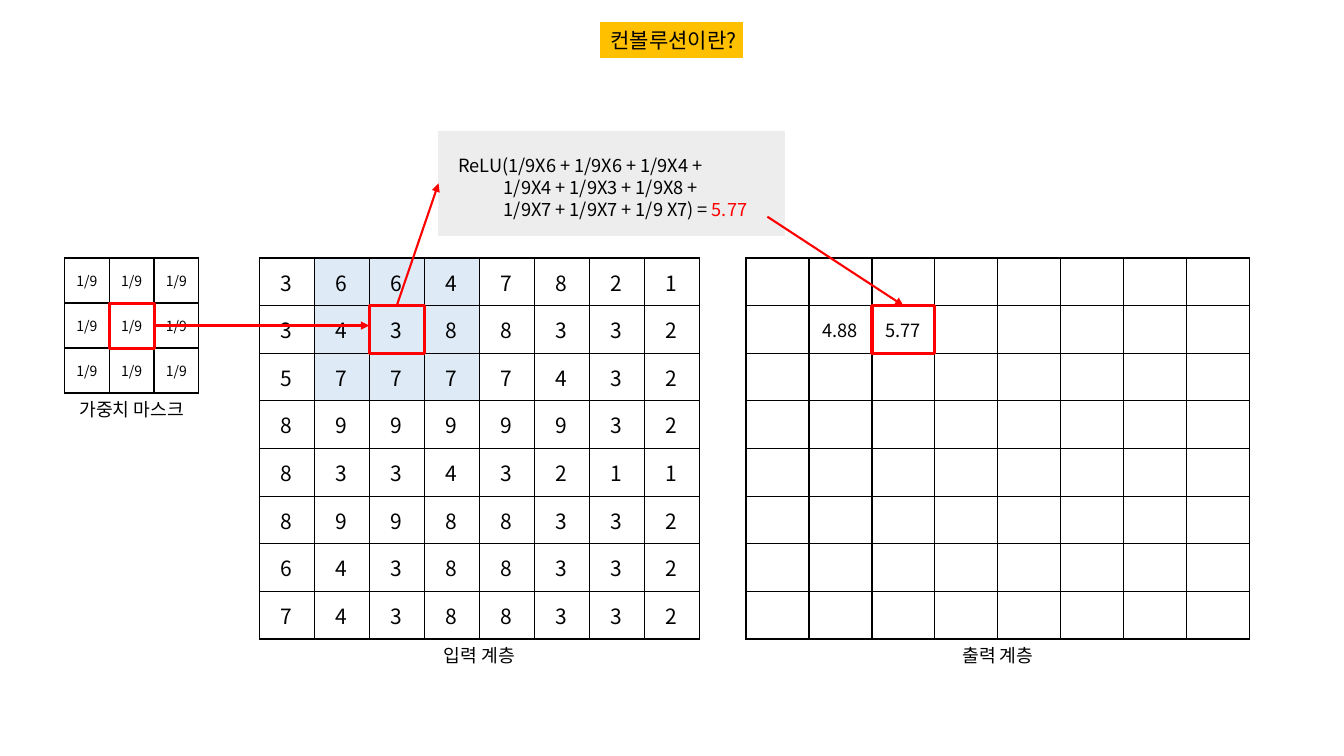
from collections import namedtuple

from lxml import etree
from pptx import Presentation
from pptx.dml.color import RGBColor
from pptx.enum.shapes import MSO_CONNECTOR, MSO_SHAPE
from pptx.enum.text import MSO_ANCHOR, PP_ALIGN
from pptx.oxml.ns import qn
from pptx.util import Inches, Pt

RECTANGLE = MSO_SHAPE.RECTANGLE
STRAIGHT = MSO_CONNECTOR.STRAIGHT
MIDDLE = MSO_ANCHOR.MIDDLE
LEFT, CENTER = PP_ALIGN.LEFT, PP_ALIGN.CENTER
BLACK, RED, AMBER, GRAY, BLUE = "000000", "FF0000", "FFC000", "EDEDED", "DEEBF7"

Box = namedtuple("Box", "left top width height")


def color(value):
    return RGBColor.from_string(value)


def cell_box(grid, size, row, column):
    width, height = grid.width / size, grid.height / size
    return Box(grid.left + column * width, grid.top + row * height, width, height)


def top_middle(box):
    return box.left + box.width / 2, box.top


class ConvolutionSlide:
    """Draws styled elements on a slide, with lengths in percent of its size."""

    font_name = "Noto Sans CJK KR"

    def __init__(self, presentation):
        self.slide = presentation.slides.add_slide(presentation.slide_layouts[6])
        self.shapes = self.slide.shapes
        self.column = presentation.slide_width / 100
        self.row = presentation.slide_height / 100

    def place(self, left, top):
        return round(left * self.column), round(top * self.row)

    def frame(self, box):
        return self.place(box.left, box.top) + self.place(box.width, box.height)

    def run(self, paragraph, text, size, ink=BLACK):
        run = paragraph.add_run()
        run.text = text
        run.font.size = Pt(size)
        run.font.name = self.font_name
        run.font.color.rgb = color(ink)
        east_asian = etree.SubElement(run.font._element, qn("a:ea"))
        east_asian.set("typeface", self.font_name)

    def border(self, cell):
        properties = cell._tc.get_or_add_tcPr()
        for side in ("a:lnL", "a:lnR", "a:lnT", "a:lnB"):
            line = etree.SubElement(properties, qn(side), w=str(Pt(1)))
            fill = etree.SubElement(line, qn("a:solidFill"))
            etree.SubElement(fill, qn("a:srgbClr"), val=BLACK)

    def table(self, box, size, values, font_size, margins, shaded=()):
        table = self.shapes.add_table(size, size, *self.frame(box)).table
        table.first_row = table.horz_banding = False
        width, height = self.place(box.width / size, box.height / size)
        for index in range(size):
            table.columns[index].width = width
            table.rows[index].height = height
        for row in range(size):
            for column in range(size):
                cell = table.cell(row, column)
                self.border(cell)
                if (row, column) in shaded:
                    cell.fill.solid()
                    cell.fill.fore_color.rgb = color(BLUE)
                else:
                    cell.fill.background()
                if (row, column) in values:
                    cell.vertical_anchor = MIDDLE
                    cell.margin_left = cell.margin_right = Inches(margins[0])
                    cell.margin_top = cell.margin_bottom = Inches(margins[1])
                    paragraph = cell.text_frame.paragraphs[0]
                    paragraph.alignment = CENTER
                    self.run(paragraph, values[row, column], font_size)

    def rectangle(self, box, line, width, fill=None):
        shape = self.shapes.add_shape(RECTANGLE, *self.frame(box))
        shape.shadow.inherit = False
        shape.line.color.rgb = color(line)
        shape.line.width = Pt(width)
        if fill:
            shape.fill.solid()
            shape.fill.fore_color.rgb = color(fill)
        else:
            shape.fill.background()
        return shape

    def title(self, box, text):
        shape = self.rectangle(box, AMBER, 0.75, AMBER)
        shape.text_frame.word_wrap = True
        paragraph = shape.text_frame.paragraphs[0]
        paragraph.alignment = LEFT
        self.run(paragraph, text, 15)

    def caption(self, grid, text):
        box = Box(grid.left, grid.top + grid.height, grid.width, 4.27)
        frame = self.shapes.add_textbox(*self.frame(box)).text_frame
        frame.word_wrap = True
        frame.paragraphs[0].alignment = CENTER
        self.run(frame.paragraphs[0], text, 13)

    def formula(self, box, lines, result, indent):
        frame = self.shapes.add_textbox(*self.frame(box)).text_frame
        frame.word_wrap = True
        for index, text in enumerate(lines):
            paragraph = frame.paragraphs[0] if index == 0 else frame.add_paragraph()
            if index:
                paragraph._p.get_or_add_pPr().set("marL", str(Inches(indent)))
            self.run(paragraph, text, 13)
        self.run(paragraph, result, 13, RED)

    def arrow(self, start, end):
        connector = self.shapes.add_connector(
            STRAIGHT, *self.place(*start), *self.place(*end))
        connector.line.color.rgb = color(RED)
        connector.line.width = Pt(1.5)
        etree.SubElement(connector.line._get_or_add_ln(), qn("a:tailEnd"), type="triangle")
        etree.SubElement(connector._element.spPr, qn("a:effectLst"))


def main():
    presentation = Presentation()
    presentation.slide_width = Inches(13.33)
    presentation.slide_height = Inches(7.5)
    page = ConvolutionSlide(presentation)

    mask = Box(4.8, 34.13, 10, 17.87)
    inputs = Box(19.28, 34.13, 32.77, 50.4)
    outputs = Box(55.5, 34.13, 37.5, 50.4)
    panel = Box(32.63, 17.47, 25.73, 13.6)

    weights = {(row, column): "1/9" for row in range(3) for column in range(3)}
    digits = ("36647821", "34388332", "57777432", "89999932",
              "83343211", "89988332", "64388332", "74388332")
    pixels = {(row, column): digit for row, line in enumerate(digits)
              for column, digit in enumerate(line)}
    window = [(row, column) for row in range(3) for column in range(1, 4)]

    page.table(mask, 3, weights, 10, (0.1, 0.05))
    page.table(inputs, 8, pixels, 15, (0.07, 0.04), window)
    page.table(outputs, 8, {(1, 1): "4.88", (1, 2): "5.77"}, 13, (0.07, 0.04))
    for grid, text in ((mask, "가중치 마스크"), (inputs, "입력 계층"), (outputs, "출력 계층")):
        page.caption(grid, text)

    weight = cell_box(mask, 3, 1, 1)
    pixel = cell_box(inputs, 8, 1, 2)
    result = cell_box(outputs, 8, 1, 2)
    for box in (weight, pixel, result):
        page.rectangle(box, RED, 2.25)

    page.rectangle(panel, GRAY, 1, GRAY)
    page.formula(Box(33.38, 19.73, 25.28, 10.13),
                 ("ReLU(1/9X6 + 1/9X6 + 1/9X4 +",
                  "1/9X4 + 1/9X3 + 1/9X8 +",
                  "1/9X7 + 1/9X7 + 1/9 X7) = "), "5.77", 0.45)

    weight_middle = weight.top + weight.height / 2
    page.arrow((weight.left + weight.width, weight_middle), (pixel.left, weight_middle))
    page.arrow(top_middle(pixel), (panel.left, panel.top + panel.height / 2))
    page.arrow((57.1, 28.67), top_middle(result))

    page.title(Box(44.7, 2.93, 10.58, 4.67), "컨볼루션이란?")
    presentation.save("out.pptx")


if __name__ == "__main__":
    main()
